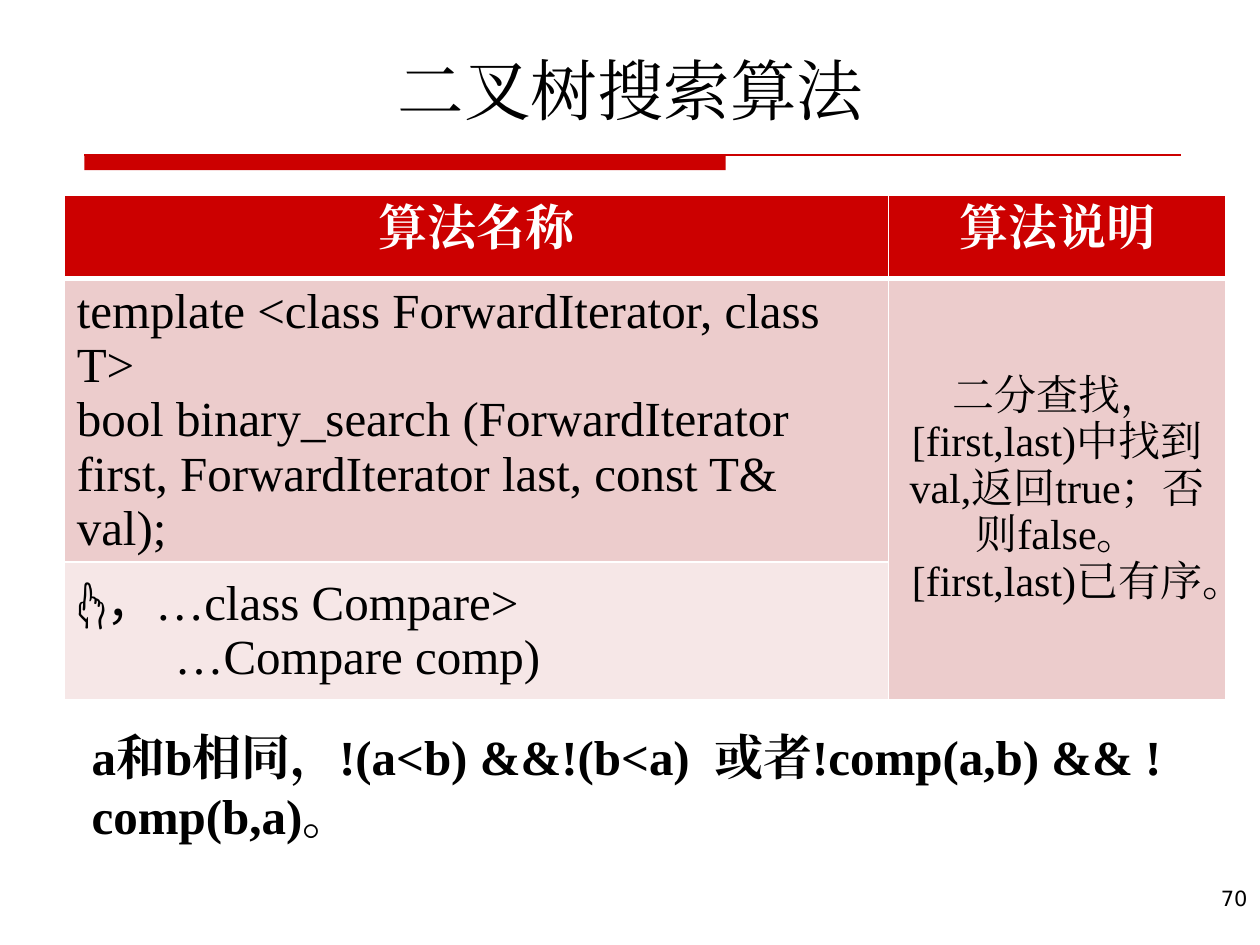
import pptx
import pptx.dml.color
import pptx.enum.shapes
import pptx.enum.text
import pptx.oxml
import pptx.oxml.ns
import pptx.util

RGBColor = pptx.dml.color.RGBColor
Align = pptx.enum.text.PP_ALIGN
Anchor = pptx.enum.text.MSO_ANCHOR

BLACK = RGBColor(0x00, 0x00, 0x00)
WHITE = RGBColor(0xFF, 0xFF, 0xFF)
RED = RGBColor(0xCC, 0x00, 0x00)
ROSE = RGBColor(0xEC, 0xCC, 0xCC)
PALE_ROSE = RGBColor(0xF6, 0xE7, 0xE7)

SERIF = "Times New Roman"
SANS = "DejaVu Sans"
COLUMNS, ROWS = 100, 75


def write(frame, text, size=28, font=SERIF, color=BLACK, bold=False, align=Align.LEFT):
    """Fill a text frame, one paragraph per line of text."""
    frame.text = text
    frame.word_wrap = True
    for para in frame.paragraphs:
        para.alignment = align
        for span in para.runs:
            span.font.size = pptx.util.Pt(size)
            span.font.name = font
            span.font.bold = bold
            span.font.color.rgb = color
            properties = span.font._element
            east_asian = pptx.oxml.parse_xml(
                f'<a:ea {pptx.oxml.ns.nsdecls("a")} typeface="{font}"/>')
            properties.find(pptx.oxml.ns.qn("a:latin")).addnext(east_asian)


def set_borders(cell, bottom=1):
    """Draw white borders, 1 pt except for the bottom one."""
    properties = cell._tc.get_or_add_tcPr()
    for index, (side, width) in enumerate(zip("LRTB", (1, 1, 1, bottom))):
        properties.insert(index, pptx.oxml.parse_xml(
            f'<a:ln{side} {pptx.oxml.ns.nsdecls("a")} w="{pptx.util.Pt(width)}">'
            f'<a:solidFill><a:srgbClr val="{WHITE}"/></a:solidFill></a:ln{side}>'))


class SlideBuilder:
    """Places elements on a 100 by 75 grid covering the slide."""

    def __init__(self, deck):
        self.deck = deck
        self.page = deck.slides.add_slide(deck.slide_layouts[5])

    def x(self, columns):
        return round(self.deck.slide_width * columns / COLUMNS)

    def y(self, rows):
        return round(self.deck.slide_height * rows / ROWS)

    def area(self, left, top, width, height):
        return self.x(left), self.y(top), self.x(width), self.y(height)

    def title(self, text, *area):
        box = self.page.shapes.title
        box.left, box.top, box.width, box.height = self.area(*area)
        write(box.text_frame, text, size=38, align=Align.CENTER)
        box.text_frame.vertical_anchor = Anchor.BOTTOM

    def text(self, text, *area, **style):
        box = self.page.shapes.add_textbox(*self.area(*area))
        write(box.text_frame, text, **style)

    def bar(self, *area):
        shape = self.page.shapes.add_shape(
            pptx.enum.shapes.MSO_SHAPE.RECTANGLE, *self.area(*area))
        shape.shadow.inherit = False
        shape.fill.solid()
        shape.fill.fore_color.rgb = RED
        shape.line.fill.background()

    def rule(self, left, right, top):
        line = self.page.shapes.add_connector(
            pptx.enum.shapes.MSO_CONNECTOR.STRAIGHT,
            self.x(left), self.y(top), self.x(right), self.y(top))
        line.line.color.rgb = RED
        line.line.width = pptx.util.Pt(0.75)
        line._element.spPr.append(pptx.oxml.parse_xml(
            f'<a:effectLst {pptx.oxml.ns.nsdecls("a")}/>'))

    def table(self, left, top, widths, heights):
        table = self.page.shapes.add_table(
            len(heights), len(widths),
            *self.area(left, top, sum(widths), sum(heights))).table
        for column, width in zip(table.columns, widths):
            column.width = self.x(width)
        for row, height in zip(table.rows, heights):
            row.height = self.y(height)
        for index, cell in enumerate(table.iter_cells()):
            set_borders(cell, bottom=3 if index < len(widths) else 1)
        return table

    def cell(self, cell, text, fill, anchor=Anchor.MIDDLE, **style):
        cell.fill.solid()
        cell.fill.fore_color.rgb = fill
        cell.vertical_anchor = anchor
        write(cell.text_frame, text, **style)


def main():
    deck = pptx.Presentation()
    deck.slide_width = pptx.util.Inches(10)
    deck.slide_height = pptx.util.Inches(7.5)
    slide = SlideBuilder(deck)

    slide.bar(6.7, 12.3, 50.9, 1.2)
    slide.rule(6.7, 93.7, 12.3)
    slide.title("二叉树搜索算法", 6.3, 3.3, 87.5, 7.4)

    table = slide.table(5.1, 15.5, widths=(65.4, 26.8), heights=(6.6, 22.5, 10.9))
    for column, heading in enumerate(("算法名称", "算法说明")):
        slide.cell(table.cell(0, column), heading, RED, anchor=Anchor.TOP,
                   color=WHITE, bold=True, align=Align.CENTER)
    slide.cell(table.cell(1, 0),
               "template <class ForwardIterator, class T>\n"
               "bool binary_search (ForwardIterator first, "
               "ForwardIterator last, const T& val);", ROSE)
    slide.cell(table.cell(2, 0),
               "👆，…class Compare>\n        …Compare comp)", PALE_ROSE)
    table.cell(1, 1).merge(table.cell(2, 1))
    slide.cell(table.cell(1, 1),
               "二分查找，[first,last)中找到val,返回true；否则false。\n"
               "[first,last)已有序。", ROSE, size=24, align=Align.CENTER)

    slide.text("a和b相同，!(a<b) &&!(b<a)  或者!comp(a,b) && !comp(b,a)。",
               6.3, 57.2, 93.7, 10.4, bold=True)
    slide.text("70", 78.6, 69.8, 21.4, 5.2, size=12, font=SANS, align=Align.RIGHT)

    deck.save("out.pptx")


if __name__ == "__main__":
    main()
